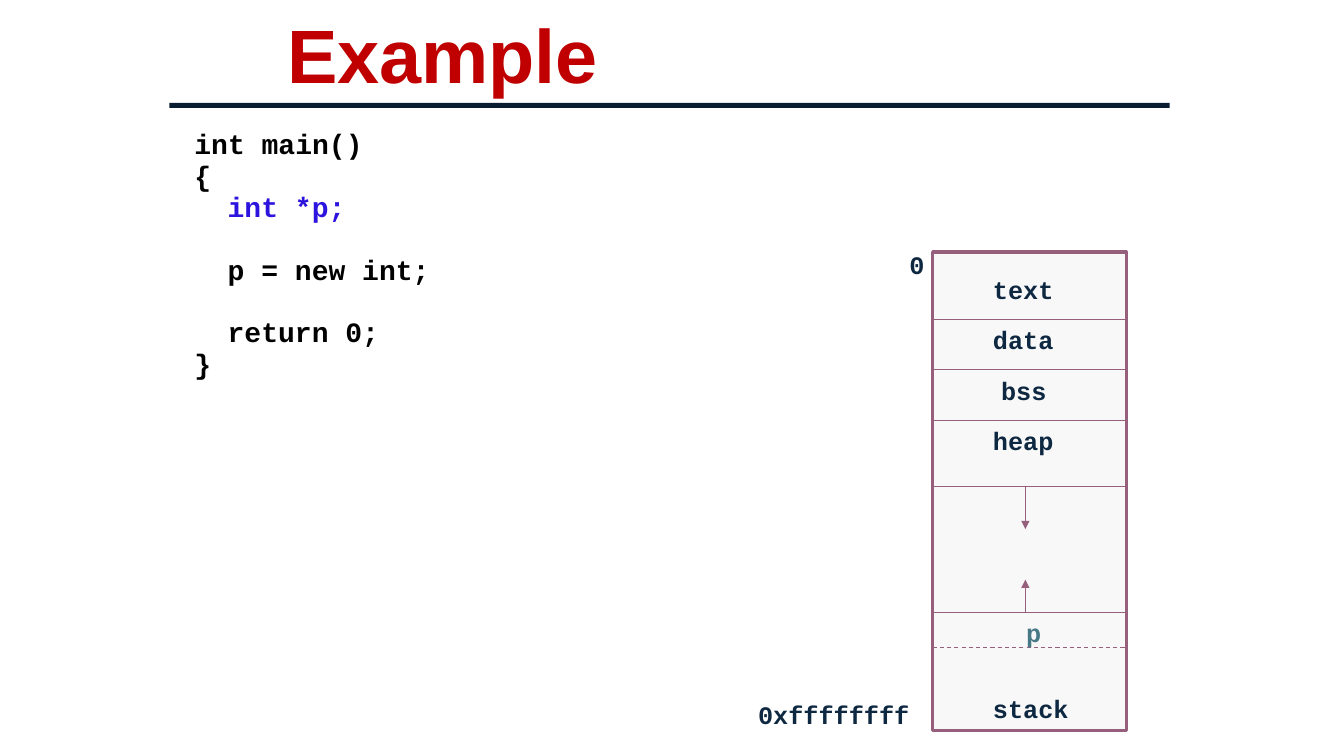
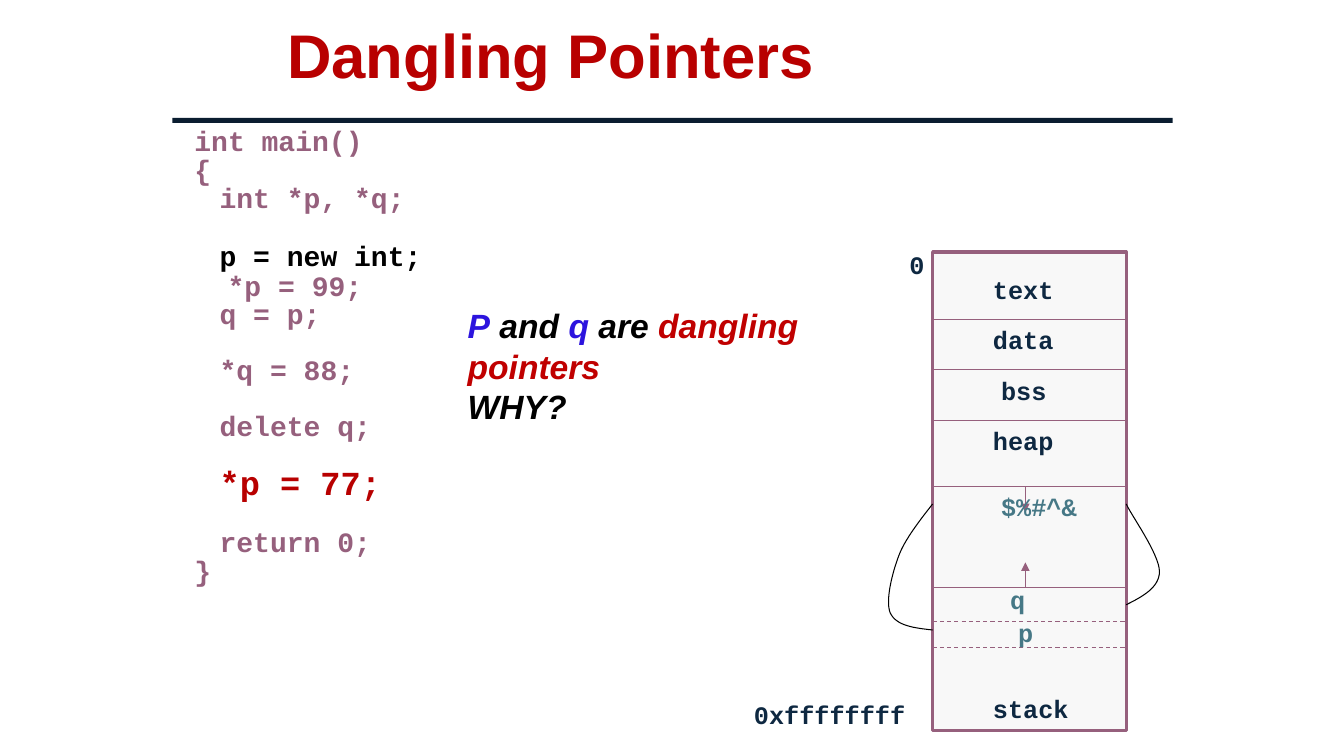
from dataclasses import dataclass

from pptx import Presentation
from pptx.dml.color import RGBColor
from pptx.enum.dml import MSO_LINE
from pptx.enum.shapes import MSO_CONNECTOR as Connector, MSO_SHAPE as Shape
from pptx.enum.text import MSO_ANCHOR as Anchor
from pptx.oxml.ns import qn
from pptx.util import Inches, Pt

BLACK = RGBColor(0x00, 0x00, 0x00)
RED = RGBColor(0xC0, 0x00, 0x00)
DARK_RED = RGBColor(0xB8, 0x00, 0x00)
BLUE = RGBColor(0x2C, 0x14, 0xDE)
MAUVE = RGBColor(0x96, 0x60, 0x7D)
NAVY = RGBColor(0x0E, 0x28, 0x41)
RULE_NAVY = RGBColor(0x0A, 0x1D, 0x30)
TEAL = RGBColor(0x46, 0x78, 0x86)
PALE = RGBColor(0xF8, 0xF8, 0xF8)

SANS, MONO = "Arial", "Courier New"

MEMORY_LEFT, MEMORY_RIGHT = 9.25, 11.17
MEMORY_TOP, MEMORY_BOTTOM = 2.5, 7.25
HEAP_END = 4.83
ARROW_X = 10.17
CODE_SIZE = 20
CODE_GAP = 1.2  # points between code lines
MONO_HEIGHT = 1.133  # line height of the code font, in ems


@dataclass
class CodeLine:
    text: str
    color: RGBColor
    indent: float = 0
    after_blank: bool = False
    size: int = CODE_SIZE
    spacing: float = 0.9


def style_run(run, font, size, color, italic=False):
    run.font.name = font
    run.font.size = Pt(size)
    run.font.bold = True
    run.font.italic = italic
    run.font.color.rgb = color


def add_text_box(page, left, top, width, height):
    box = page.shapes.add_textbox(Inches(left), Inches(top), Inches(width), Inches(height))
    box.text_frame.word_wrap = True
    return box.text_frame


def add_title(page, text, size, color):
    frame = add_text_box(page, 2.75, 0, 8.92, 1.17)
    frame.vertical_anchor = Anchor.MIDDLE
    frame.text = text
    para = frame.paragraphs[0]
    para.line_spacing = 0.9
    style_run(para.runs[0], SANS, size, color)


def add_rectangle(page, left, top, width, height, fill):
    box = page.shapes.add_shape(
        Shape.RECTANGLE, Inches(left), Inches(top), Inches(width), Inches(height))
    box.shadow.inherit = False
    box.fill.solid()
    box.fill.fore_color.rgb = fill
    box.line.fill.background()
    return box


def add_title_rule(page, left, top):
    add_rectangle(page, left, top, 9.92, 0.05, RULE_NAVY)


def add_code(page, lines, usual_spacing):
    frame = add_text_box(page, 1.83, 1.24, 7, 6.18)
    frame.text = "\n".join(line.text for line in lines)
    blank_line = CODE_SIZE * MONO_HEIGHT * usual_spacing + CODE_GAP
    for para, line in zip(frame.paragraphs, lines):
        para.line_spacing = line.spacing
        para.space_before = Pt(CODE_GAP + (blank_line if line.after_blank else 0))
        para._p.get_or_add_pPr().set("marL", str(Inches(line.indent)))
        style_run(para.runs[0], MONO, line.size, line.color)


def add_label(page, text, left, top, color=NAVY, width=1.25):
    frame = add_text_box(page, left, top, width, 0.4)
    frame.text = text
    style_run(frame.paragraphs[0].runs[0], MONO, 18, color)


def add_line(page, start, end, dashed=False, arrow=False):
    line = page.shapes.add_connector(
        Connector.STRAIGHT, *(Inches(value) for value in (*start, *end)))
    line.line.color.rgb = MAUVE
    line.line.width = Pt(0.75)
    if dashed:
        line.line.dash_style = MSO_LINE.DASH
    if arrow:
        outline = line.line._get_or_add_ln()
        outline.append(outline.makeelement(qn("a:tailEnd"), {"type": "triangle"}))
    properties = line._element.spPr
    properties.append(properties.makeelement(qn("a:effectLst"), {}))


def add_divider(page, y, dashed=False):
    add_line(page, (MEMORY_LEFT, y), (MEMORY_RIGHT, y), dashed=dashed)


def add_memory(page, address_left, stack_top, heap_arrow_end, stack_arrow_end):
    """Draw the memory map, with the stack's top edge and the growth arrows."""
    memory = add_rectangle(page, MEMORY_LEFT, MEMORY_TOP, MEMORY_RIGHT - MEMORY_LEFT,
                           MEMORY_BOTTOM - MEMORY_TOP, PALE)
    memory.line.color.rgb = MAUVE
    memory.line.width = Pt(2.25)
    for y in (3.17, 3.67, 4.17, HEAP_END, stack_top):
        add_divider(page, y)
    add_line(page, (ARROW_X, HEAP_END), (ARROW_X, heap_arrow_end), arrow=True)
    add_line(page, (ARROW_X, stack_top), (ARROW_X, stack_arrow_end), arrow=True)
    for text, left, top in (("text", 9.75, 2.67), ("data", 9.75, 3.17), ("bss", 9.83, 3.67),
                            ("heap", 9.75, 4.17), ("stack", 9.75, 6.83)):
        add_label(page, text, left, top)
    add_label(page, "0", 8.92, 2.42, width=0.42)
    add_label(page, "0xffffffff", address_left, 6.89, width=1.8)


def bezier_points(start, control_1, control_2, end, steps=16):
    for step in range(1, steps + 1):
        t = step / steps
        weights = ((1 - t) ** 3, 3 * t * (1 - t) ** 2, 3 * t ** 2 * (1 - t), t ** 3)
        corners = (start, control_1, control_2, end)
        yield tuple(Inches(sum(w * corner[axis] for w, corner in zip(weights, corners)))
                    for axis in (0, 1))


def add_curve(page, start, *segments):
    """Draw an open curve; each segment is two control points and an end."""
    builder = page.shapes.build_freeform(Inches(start[0]), Inches(start[1]))
    for segment in segments:
        builder.add_line_segments(list(bezier_points(start, *segment)), close=False)
        start = segment[-1]
    curve = builder.convert_to_shape()
    curve.shadow.inherit = False
    curve.fill.background()
    curve.line.color.rgb = BLACK
    curve.line.width = Pt(0.75)


def add_question(page):
    frame = add_text_box(page, 4.54, 2.98, 4.59, 1.3)
    statement = (("P", BLUE), (" and ", BLACK), ("q", BLUE), (" are ", BLACK),
                 ("dangling pointers", RED))
    for para, spans in ((frame.paragraphs[0], statement),
                        (frame.add_paragraph(), (("WHY?", BLACK),))):
        for text, color in spans:
            span = para.add_run()
            span.text = text
            style_run(span, SANS, 24, color, italic=True)


def build_example(page):
    add_title(page, "Example", 54, RED)
    add_code(page, [
        CodeLine("int main()", BLACK),
        CodeLine("{", BLACK),
        CodeLine("int *p;", BLUE, 0.33),
        CodeLine("p = new int;", BLACK, 0.33, after_blank=True),
        CodeLine("return 0;", BLACK, 0.33, after_blank=True),
        CodeLine("}", BLACK),
    ], 0.9)
    add_memory(page, 7.42, stack_top=6.08, heap_arrow_end=5.25, stack_arrow_end=5.75)
    add_divider(page, 6.42, dashed=True)
    add_label(page, "p", 10.08, 6.08, TEAL, 0.83)
    add_title_rule(page, 1.68, 1.02)


def build_dangling_pointers(page):
    add_title(page, "Dangling Pointers", 44, DARK_RED)
    tight = 0.8
    add_code(page, [
        CodeLine("int main()", MAUVE, spacing=tight),
        CodeLine("{", MAUVE, spacing=tight),
        CodeLine("int *p, *q;", MAUVE, 0.25, spacing=tight),
        CodeLine("p = new int;", BLACK, 0.25, after_blank=True),
        CodeLine("*p = 99;", MAUVE, 0.33, spacing=tight),
        CodeLine("q = p;", MAUVE, 0.25, spacing=tight),
        CodeLine("*q = 88;", MAUVE, 0.25, after_blank=True, spacing=tight),
        CodeLine("delete q;", MAUVE, 0.25, after_blank=True, spacing=tight),
        CodeLine("*p = 77;", DARK_RED, 0.25, after_blank=True, size=24, spacing=tight),
        CodeLine("return 0;", MAUVE, 0.25, after_blank=True, spacing=tight),
        CodeLine("}", MAUVE, spacing=tight),
    ], tight)
    add_memory(page, 7.38, stack_top=5.83, heap_arrow_end=5.08, stack_arrow_end=5.58)
    for y in (6.17, 6.42):
        add_divider(page, y, dashed=True)
    add_label(page, "$%#^&", 9.83, HEAP_END, TEAL)
    add_label(page, "q", 9.92, 5.75, TEAL, 0.83)
    add_label(page, "p", 10, 6.08, TEAL, 0.83)
    add_curve(page, (MEMORY_LEFT, 6.25),
              ((9.07, 6.23), (8.89, 6.21), (8.83, 6.08)),
              ((8.78, 5.96), (8.85, 5.68), (8.92, 5.5)),
              ((8.99, 5.32), (9.19, 5.08), (MEMORY_LEFT, 5)))
    add_curve(page, (MEMORY_RIGHT, 6),
              ((11.33, 5.92), (11.5, 5.83), (11.5, 5.67)),
              ((11.5, 5.5), (11.22, 5.11), (MEMORY_RIGHT, 5)))
    add_title_rule(page, 1.71, 1.17)
    add_question(page)


def main():
    deck = Presentation()
    deck.slide_width = Inches(13.33)
    deck.slide_height = Inches(7.5)
    for build in (build_example, build_dangling_pointers):
        build(deck.slides.add_slide(deck.slide_layouts[6]))
    deck.save("out.pptx")


if __name__ == "__main__":
    main()
